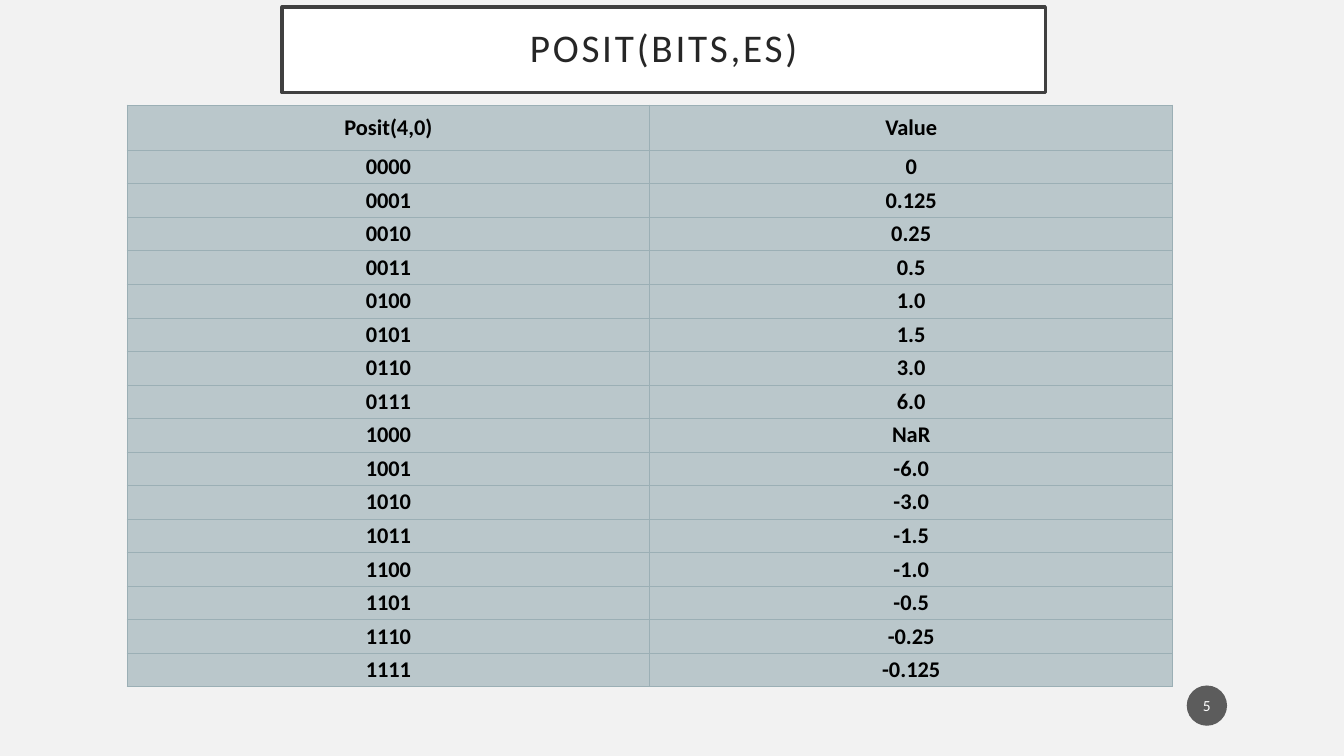
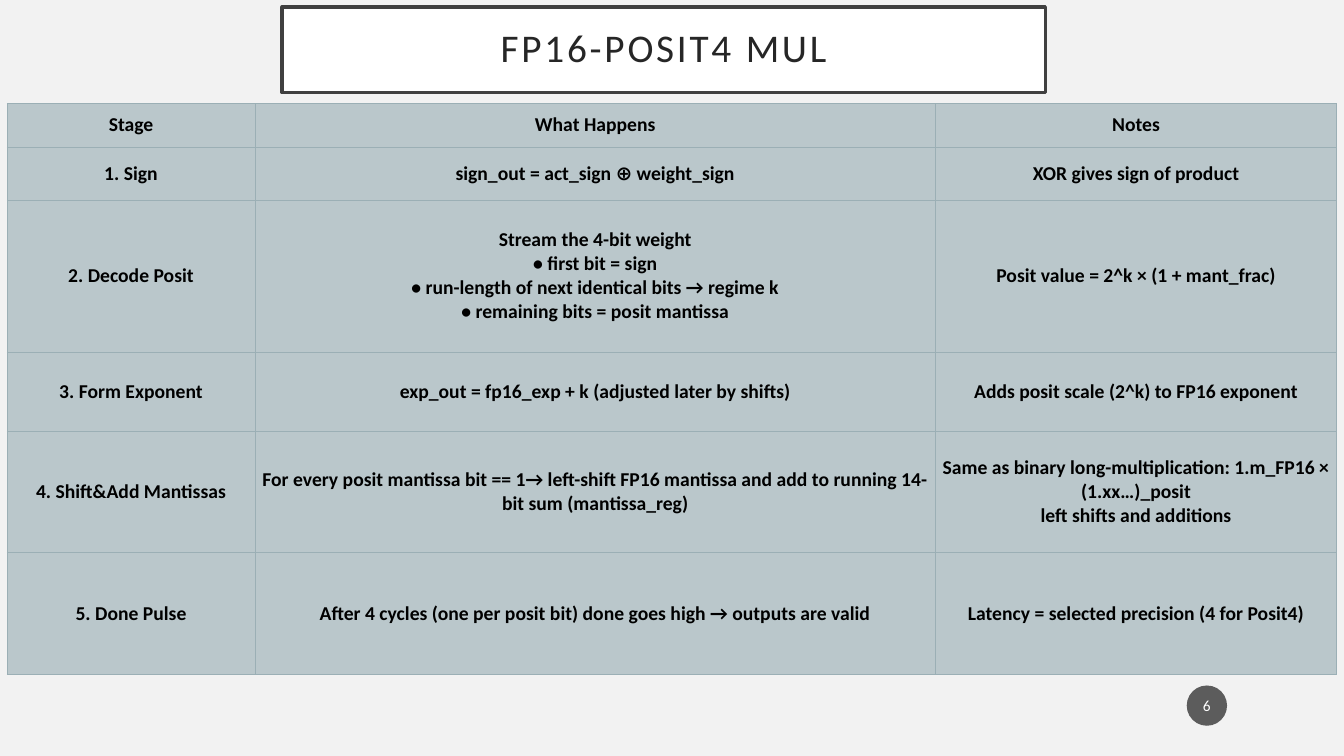
import pptx
import pptx.dml.color
import pptx.enum.shapes
import pptx.enum.text
import pptx.oxml
import pptx.oxml.ns
import pptx.util

Pt = pptx.util.Pt
Inches = pptx.util.Inches
SHAPES = pptx.enum.shapes.MSO_SHAPE

PAPER, WHITE, FRAME, TITLE_INK = "F2F2F2", "FFFFFF", "404040", "262626"
CELL, RULE, INK, BADGE = "BAC7CB", "9BAFB5", "000000", "1D1D1D"
BADGE_OPACITY = 70
FIRST_NUMBER = 5

TITLE_FORMAT = {"name": "Calibri", "size": Pt(28), "bold": False}
NUMBER_FORMAT = {"name": "Calibri", "size": Pt(11), "bold": False}
TITLE_INSETS = dict.fromkeys(["left", "top", "right", "bottom"], 0.2)
NUMBER_INSETS = {"left": 0.02, "top": 0.05, "right": 0.02, "bottom": 0.05}
CELL_INSETS = {"left": 0.05, "top": 0.02, "right": 0.05, "bottom": 0.02}

deck = pptx.Presentation()
deck.slide_width, deck.slide_height = Inches(13.33), Inches(7.5)
column, row = deck.slide_width / 100, deck.slide_height / 100


def paint(color_format, hex_code):
    color_format.rgb = pptx.dml.color.RGBColor.from_string(hex_code)


def write(holder, frame, text, text_format, ink, insets):
    holder.vertical_anchor = pptx.enum.text.MSO_ANCHOR.MIDDLE
    for side, inset in insets.items():
        setattr(holder, f"margin_{side}", Inches(inset))
    frame.word_wrap = True
    frame.text = text
    for paragraph in frame.paragraphs:
        paragraph.alignment = pptx.enum.text.PP_ALIGN.CENTER
        for run in paragraph.runs:
            for attribute, value in text_format.items():
                setattr(run.font, attribute, value)
            paint(run.font.color, ink)


posit_values = [
    "0", "0.125", "0.25", "0.5", "1.0", "1.5", "3.0", "6.0",
    "NaR", "-6.0", "-3.0", "-1.5", "-1.0", "-0.5", "-0.25", "-0.125",
]

pages = [
    {
        "title": "POSIT(BITS,ES)",
        "left": 9.45,
        "top": 13.87,
        "columns": [38.9, 38.9],
        "rows": [6] + [4.44] * len(posit_values),
        "size": 16,
        "content": [("Posit(4,0)", "Value")]
        + [(f"{code:04b}", value) for code, value in enumerate(posit_values)],
    },
    {
        "title": "FP16-POSIT4 MUL",
        "left": 0.53,
        "top": 13.67,
        "columns": [18.45, 50.63, 29.85],
        "rows": [5.8, 7, 20.1, 10.5, 16.05, 16.05],
        "size": 14,
        "content": [
            ("Stage", "What Happens", "Notes"),
            ("1. Sign", "sign_out = act_sign ⊕ weight_sign", "XOR gives sign of product"),
            (
                "2. Decode Posit",
                "Stream the 4-bit weight\n• first bit = sign\n"
                "• run-length of next identical bits → regime k\n"
                "• remaining bits = posit mantissa",
                "Posit value = 2^k × (1 + mant_frac)",
            ),
            (
                "3. Form Exponent",
                "exp_out = fp16_exp + k (adjusted later by shifts)",
                "Adds posit scale (2^k) to FP16 exponent",
            ),
            (
                "4. Shift&Add Mantissas",
                "For every posit mantissa bit == 1→ left-shift FP16 mantissa "
                "and add to running 14-bit sum (mantissa_reg)",
                "Same as binary long-multiplication: 1.m_FP16 × (1.xx…)_posit\n"
                "left shifts and additions",
            ),
            (
                "5. Done Pulse",
                "After 4 cycles (one per posit bit) done goes high → outputs are valid",
                "Latency = selected precision (4 for Posit4)",
            ),
        ],
    },
]

for number, page in enumerate(pages, FIRST_NUMBER):
    slide = deck.slides.add_slide(deck.slide_layouts[6])
    slide.background.fill.solid()
    paint(slide.background.fill.fore_color, PAPER)

    title = slide.shapes.add_shape(
        SHAPES.RECTANGLE,
        int(21 * column), int(0.93 * row), int(56.78 * column), int(11.33 * row),
    )
    title.shadow.inherit = False
    title.fill.solid()
    paint(title.fill.fore_color, WHITE)
    paint(title.line.color, FRAME)
    title.line.width = Pt(2.5)
    write(title.text_frame, title.text_frame, page["title"], TITLE_FORMAT, TITLE_INK, TITLE_INSETS)
    heading = title.text_frame.paragraphs[0]
    heading.line_spacing = 0.9
    heading.runs[0].font._element.set("spc", "200")

    grid = slide.shapes.add_table(
        len(page["rows"]), len(page["columns"]),
        int(page["left"] * column), int(page["top"] * row),
        int(sum(page["columns"]) * column), int(sum(page["rows"]) * row),
    ).table
    grid.first_row = grid.horz_banding = False
    for grid_column, share in zip(grid.columns, page["columns"]):
        grid_column.width = int(share * column)
    for grid_row, share in zip(grid.rows, page["rows"]):
        grid_row.height = int(share * row)

    cell_format = {"name": "Calibri", "size": Pt(page["size"]), "bold": True}
    for grid_row, texts in zip(grid.rows, page["content"]):
        for cell, text in zip(grid_row.cells, texts):
            write(cell, cell.text_frame, text, cell_format, INK, CELL_INSETS)
            cell.fill.solid()
            paint(cell.fill.fore_color, CELL)
            for position, edge in enumerate(["lnL", "lnR", "lnT", "lnB"]):
                border = pptx.oxml.parse_xml(
                    f'<a:{edge} {pptx.oxml.ns.nsdecls("a")} w="{Pt(0.5)}">'
                    f'<a:solidFill><a:srgbClr val="{RULE}"/></a:solidFill></a:{edge}>'
                )
                cell._tc.get_or_add_tcPr().insert(position, border)

    badge = slide.shapes.add_shape(
        SHAPES.OVAL,
        int(88.3 * column), int(90.67 * row), int(3 * column), int(5.33 * row),
    )
    badge.shadow.inherit = False
    badge.line.fill.background()
    badge.fill.solid()
    paint(badge.fill.fore_color, BADGE)
    opacity = pptx.oxml.parse_xml(
        f'<a:alpha {pptx.oxml.ns.nsdecls("a")} val="{BADGE_OPACITY * 1000}"/>'
    )
    badge._element.spPr.find(".//" + pptx.oxml.ns.qn("a:srgbClr")).append(opacity)
    write(badge.text_frame, badge.text_frame, str(number), NUMBER_FORMAT, WHITE, NUMBER_INSETS)

deck.save("out.pptx")
